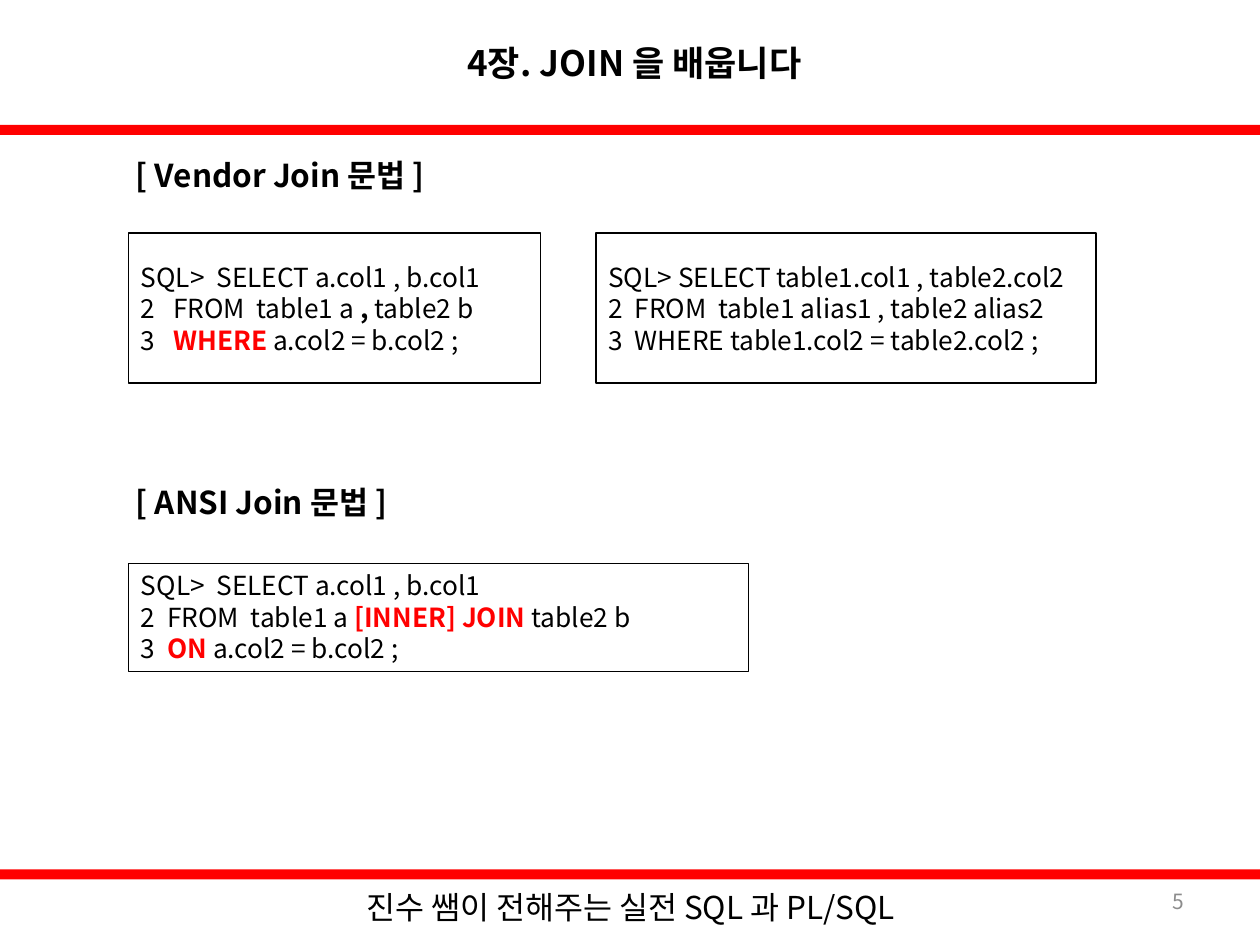
from dataclasses import dataclass

import pptx
import pptx.dml.color
import pptx.enum.shapes
import pptx.enum.text
import pptx.oxml.ns
import pptx.util
from lxml import etree

Inches = pptx.util.Inches
Pt = pptx.util.Pt
RGBColor = pptx.dml.color.RGBColor
Align = pptx.enum.text.PP_ALIGN
Anchor = pptx.enum.text.MSO_ANCHOR

FONT = "Noto Sans CJK KR"
BLACK = RGBColor(0x00, 0x00, 0x00)
WHITE = RGBColor(0xFF, 0xFF, 0xFF)
RED = RGBColor(0xFF, 0x00, 0x00)
GRAY = RGBColor(0x8C, 0x8C, 0x8C)

SLIDE_WIDTH = 10
LEFT_COLUMN = 1.02
CODE_LINE_HEIGHT = Pt(18)


@dataclass(frozen=True)
class Span:
    text: str
    color: RGBColor = BLACK
    bold: bool = False


@dataclass(frozen=True)
class Area:
    left: float
    top: float
    width: float
    height: float

    def lengths(self) -> tuple:
        return tuple(map(Inches, (self.left, self.top, self.width, self.height)))


@dataclass(frozen=True)
class CodeBox:
    area: Area
    lines: tuple[tuple[Span, ...], ...]
    anchor: Anchor = Anchor.MIDDLE


@dataclass(frozen=True)
class Label:
    area: Area
    span: Span
    size: float
    align: Align


def keyword(text: str) -> Span:
    return Span(text, RED, True)


def heading(top: float, text: str) -> Label:
    return Label(Area(0.98, top, 3.46, 0.47), Span(text, bold=True), 18, Align.LEFT)


TITLE = Label(Area(1.69, 0, 6.69, 0.99), Span("4장. JOIN 을 배웁니다", bold=True),
              20, Align.CENTER)
LABELS = (
    heading(1.15, "[ Vendor Join 문법 ]"),
    heading(3.75, "[ ANSI Join 문법 ]"),
    Label(Area(7.17, 6.95, 2.33, 0.4), Span("5", GRAY), 12, Align.RIGHT),
    Label(Area(2.09, 6.98, 5.83, 0.44),
          Span("진수 쌤이 전해주는 실전 SQL 과 PL/SQL"), 18, Align.CENTER),
)
RULES = (Area(0, 0.99, SLIDE_WIDTH, 0.08), Area(0, 6.9, SLIDE_WIDTH, 0.08))

SELECT_LINE = (Span("SQL>  SELECT a.col1 , b.col1"),)
CODE_BOXES = (
    CodeBox(Area(LEFT_COLUMN, 1.85, 3.27, 1.19), (
        SELECT_LINE,
        (Span("2   FROM  table1 a"), Span(" ,", bold=True), Span(" table2 b")),
        (Span("3  "), keyword(" WHERE "), Span("a.col2 = b.col2 ; ")),
    )),
    CodeBox(Area(4.73, 1.85, 3.97, 1.19), (
        (Span("SQL> SELECT table1.col1 , table2.col2"),),
        (Span("2  FROM  table1 alias1 , table2 alias2"),),
        (Span("3  WHERE table1.col2 = table2.col2 ;"),),
    )),
    CodeBox(Area(LEFT_COLUMN, 4.47, 4.92, 0.86), (
        SELECT_LINE,
        (Span("2  FROM  table1 a "), keyword("[INNER] JOIN "), Span("table2 b")),
        (Span("3  "), keyword("ON"), Span(" a.col2 = b.col2 ;")),
    ), Anchor.TOP),
)


def add_span(para, span: Span, size: float) -> None:
    """Add one run, with the font set for Latin and Hangul alike."""
    run = para.add_run()
    run.text = span.text
    run.font.name = FONT
    run.font.size = Pt(size)
    run.font.bold = span.bold
    run.font.color.rgb = span.color
    east_asian = etree.SubElement(run.font._element, pptx.oxml.ns.qn("a:ea"))
    east_asian.set("typeface", FONT)


def fill_label(box, label: Label) -> None:
    box.left, box.top, box.width, box.height = label.area.lengths()
    frame = box.text_frame
    frame.word_wrap = True
    frame.auto_size = pptx.enum.text.MSO_AUTO_SIZE.NONE
    frame.vertical_anchor = Anchor.MIDDLE
    para = frame.paragraphs[0]
    para.alignment = label.align
    add_span(para, label.span, label.size)


def add_rectangle(page, area: Area, fill: RGBColor):
    box = page.shapes.add_shape(pptx.enum.shapes.MSO_SHAPE.RECTANGLE, *area.lengths())
    box.shadow.inherit = False
    box.fill.solid()
    box.fill.fore_color.rgb = fill
    box.line.fill.background()
    return box


def add_code_box(page, code: CodeBox) -> None:
    box = add_rectangle(page, code.area, WHITE)
    box.line.color.rgb = BLACK
    box.line.width = Pt(0.75)
    frame = box.text_frame
    frame.word_wrap = True
    frame.vertical_anchor = code.anchor
    for index, line in enumerate(code.lines):
        para = frame.add_paragraph() if index else frame.paragraphs[0]
        para.alignment = Align.JUSTIFY
        para.line_spacing = CODE_LINE_HEIGHT
        for span in line:
            add_span(para, span, 15)


def main() -> None:
    deck = pptx.Presentation()
    deck.slide_width = Inches(SLIDE_WIDTH)
    deck.slide_height = Inches(7.5)
    page = deck.slides.add_slide(deck.slide_layouts.get_by_name("Title Only"))
    for rule in RULES:
        add_rectangle(page, rule, RED)
    fill_label(page.shapes.title, TITLE)
    for label in LABELS:
        fill_label(page.shapes.add_textbox(*label.area.lengths()), label)
    for code in CODE_BOXES:
        add_code_box(page, code)
    deck.save("out.pptx")


if __name__ == "__main__":
    main()
